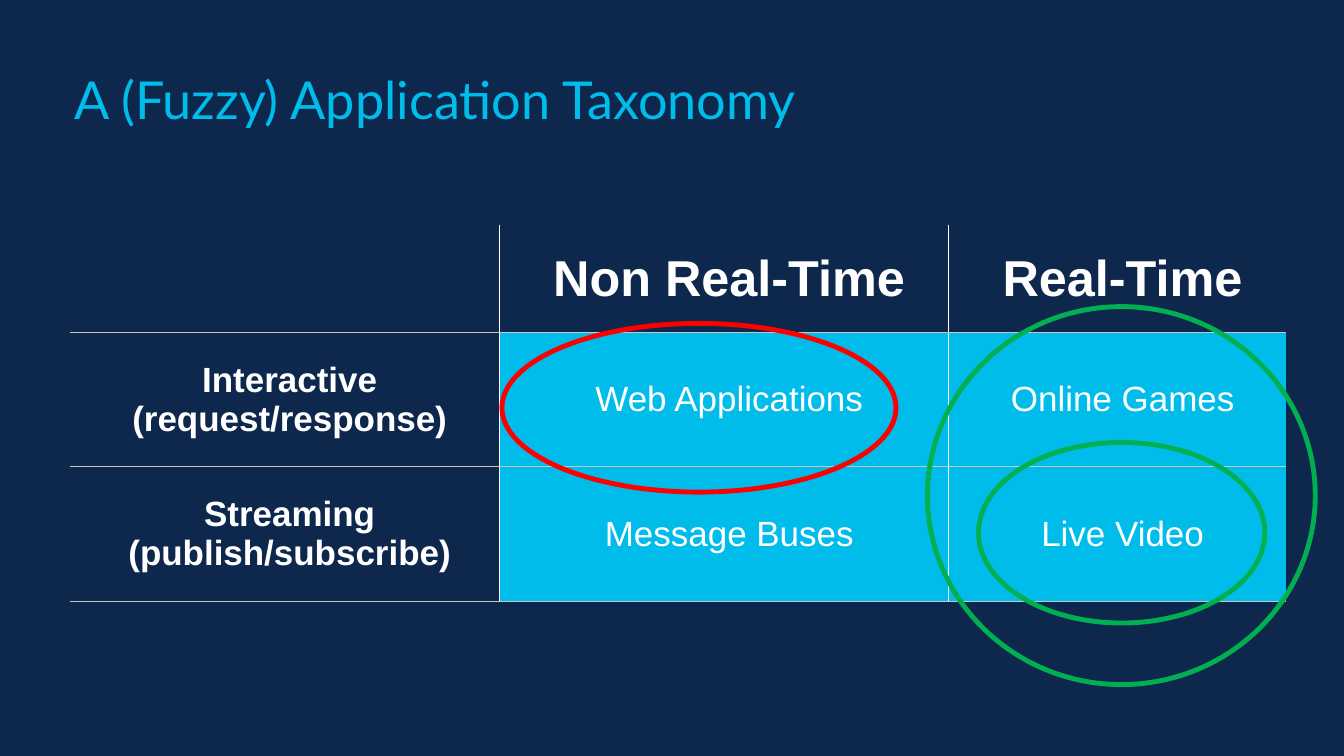
from dataclasses import dataclass

import lxml.etree
import pptx
import pptx.dml.color
import pptx.enum.shapes
import pptx.enum.text
import pptx.oxml.ns
import pptx.util

Pt = pptx.util.Pt
COLOURS = {
    "navy": "0D274D",
    "cyan": "00BCEB",
    "white": "FFFFFF",
    "grey": "C7C6C1",
    "green": "00B050",
    "red": "FF0000",
}
TAXONOMY = [
    ["", "Non Real-Time", "Real-Time"],
    ["Interactive\n(request/response)", "Web Applications", "Online Games"],
    ["Streaming\n(publish/subscribe)", "Message Buses", "Live Video"],
]
COLUMN_WIDTHS = [307, 321, 241]
ROW_HEIGHTS = [77, 96, 96]


@dataclass
class Highlight:
    """An ellipse outline, with lengths in points."""
    left: float
    top: float
    width: float
    height: float
    colour: str


HIGHLIGHTS = [
    Highlight(662.5, 219, 277, 270, "green"),
    Highlight(358.5, 231, 281.5, 120.5, "red"),
    Highlight(699, 316, 204.5, 129, "green"),
]


def rgb(name: str) -> pptx.dml.color.RGBColor:
    """Look up a palette colour."""
    return pptx.dml.color.RGBColor.from_string(COLOURS[name])


def set_font(paragraph, face: str, size: float, colour: str, bold: bool = False) -> None:
    """Set the font of a whole paragraph."""
    paragraph.font.name = face
    paragraph.font.size = Pt(size)
    paragraph.font.bold = bold
    paragraph.font.color.rgb = rgb(colour)


def add_border(cell, side: str, colour: str, width: float, visible: bool) -> None:
    """Draw one cell edge, or switch it off."""
    qn = pptx.oxml.ns.qn
    edge = lxml.etree.SubElement(cell._tc.get_or_add_tcPr(), qn(f"a:ln{side}"), w=str(Pt(width)))
    if visible:
        paint = lxml.etree.SubElement(edge, qn("a:solidFill"))
        lxml.etree.SubElement(paint, qn("a:srgbClr"), val=COLOURS[colour])
    else:
        lxml.etree.SubElement(edge, qn("a:noFill"))


def format_cell(cell, row: int, column: int) -> None:
    """Write one taxonomy cell with its borders, fill and text."""
    is_label = row == 0 or column == 0
    add_border(cell, "L", "white", 1, column > 0)
    add_border(cell, "R", "white", 1, column < len(COLUMN_WIDTHS) - 1)
    add_border(cell, "T", "grey", 0.75, row > 0)
    add_border(cell, "B", "grey", 0.75, True)
    if is_label:
        cell.fill.background()
    else:
        cell.fill.solid()
        cell.fill.fore_color.rgb = rgb("cyan")
    cell.margin_left, cell.margin_right = Pt(28.8), Pt(21.6)
    cell.margin_top = cell.margin_bottom = Pt(14.4)
    cell.vertical_anchor = pptx.enum.text.MSO_ANCHOR.MIDDLE
    cell.text = TAXONOMY[row][column]
    for paragraph in cell.text_frame.paragraphs:
        paragraph.alignment = pptx.enum.text.PP_ALIGN.CENTER
        set_font(paragraph, "Arial", 36 if row == 0 else 25, "white", is_label)


def add_title(slide) -> None:
    """Add the slide heading."""
    heading = slide.shapes.add_textbox(Pt(46), Pt(36), Pt(876), Pt(77)).text_frame
    heading.word_wrap = True
    heading.vertical_anchor = pptx.enum.text.MSO_ANCHOR.MIDDLE
    heading.text = "A (Fuzzy) Application Taxonomy"
    heading.paragraphs[0].line_spacing = 0.8
    set_font(heading.paragraphs[0], "Lato", 37.3, "cyan")


def add_taxonomy(slide) -> None:
    """Add the table of application kinds."""
    taxonomy = slide.shapes.add_table(
        len(ROW_HEIGHTS), len(COLUMN_WIDTHS), Pt(49.75), Pt(160.5),
        Pt(sum(COLUMN_WIDTHS)), Pt(sum(ROW_HEIGHTS))).table
    taxonomy.first_row = taxonomy.horz_banding = False
    for column, width in enumerate(COLUMN_WIDTHS):
        taxonomy.columns[column].width = Pt(width)
    for row, height in enumerate(ROW_HEIGHTS):
        taxonomy.rows[row].height = Pt(height)
        for column in range(len(COLUMN_WIDTHS)):
            format_cell(taxonomy.cell(row, column), row, column)


def add_highlight(slide, highlight: Highlight) -> None:
    """Circle part of the table."""
    ring = slide.shapes.add_shape(
        pptx.enum.shapes.MSO_SHAPE.OVAL, Pt(highlight.left), Pt(highlight.top),
        Pt(highlight.width), Pt(highlight.height))
    ring.shadow.inherit = False
    ring.fill.background()
    ring.line.color.rgb = rgb(highlight.colour)
    ring.line.width = Pt(3.5)


def main() -> None:
    """Build and save the slide."""
    deck = pptx.Presentation()
    deck.slide_width, deck.slide_height = Pt(960), Pt(540)
    slide = deck.slides.add_slide(deck.slide_layouts[6])
    slide.background.fill.solid()
    slide.background.fill.fore_color.rgb = rgb("navy")
    add_title(slide)
    add_taxonomy(slide)
    for highlight in HIGHLIGHTS:
        add_highlight(slide, highlight)
    deck.save("out.pptx")


main()
